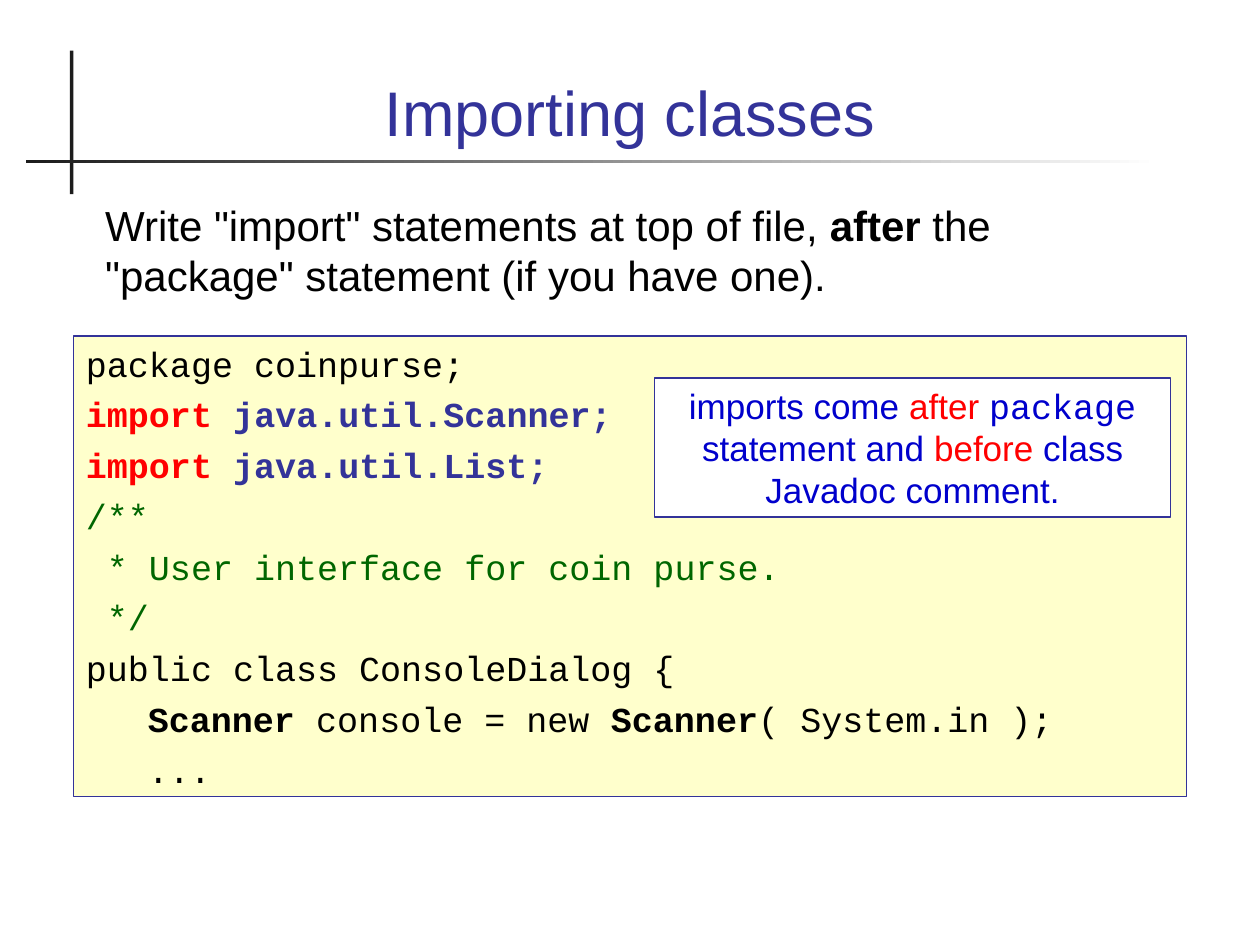
from pptx import Presentation
from pptx.dml.color import RGBColor
from pptx.enum.shapes import MSO_SHAPE
from pptx.enum.text import MSO_ANCHOR, PP_ALIGN
from pptx.oxml.ns import qn
from pptx.util import Pt
from lxml import etree

RECTANGLE = MSO_SHAPE.RECTANGLE
TOP, BOTTOM = MSO_ANCHOR.TOP, MSO_ANCHOR.BOTTOM
LEFT, CENTER = PP_ALIGN.LEFT, PP_ALIGN.CENTER

SANS, MONO = "Arial", "Courier New"
BLACK, WHITE, CHARCOAL = "000000", "FFFFFF", "1C1C1C"
INDIGO, BLUE, RED, GREEN = "333399", "0000CC", "FF0000", "006600"
CREAM = "FFFFCC"
TAB_STOP = 35.4

CODE = [
    [("package coinpurse;", {})],
    [("import ", {"color": RED, "bold": True}),
     ("java.util.Scanner;", {"color": INDIGO, "bold": True})],
    [("import", {"color": RED, "bold": True}),
     (" java.util.List;", {"color": INDIGO, "bold": True})],
    [("/**", {"color": GREEN})],
    [(" * User interface for coin purse.", {"color": GREEN})],
    [(" */", {"color": GREEN})],
    [("public class ConsoleDialog {", {})],
    [("\t", {}), ("Scanner", {"bold": True}), (" console = new ", {}),
     ("Scanner", {"bold": True}), ("( System.in );", {})],
    [("\t...", {})],
]


def rgb(value):
    """Turn a hex string into a colour."""
    return RGBColor.from_string(value)


class SlideBuilder:
    """Hold the text style and the current slide."""

    def __init__(self, slide, font=SANS, size=20, color=BLACK):
        """Keep the slide and the default text style."""
        self.slide = slide
        self.font, self.size, self.color = font, size, color

    def bar(self, left, top, width, height):
        """Draw a plain dark bar."""
        shape = self.slide.shapes.add_shape(
            RECTANGLE, Pt(left), Pt(top), Pt(width), Pt(height))
        shape.shadow.inherit = False
        shape.line.fill.background()
        shape.fill.solid()
        shape.fill.fore_color.rgb = rgb(CHARCOAL)
        return shape

    def fading_bar(self, left, top, width, height):
        """Draw a bar that fades to white on the right."""
        fill = self.bar(left, top, width, height).fill
        fill.gradient()
        fill.gradient_angle = 0
        for stop, color in zip(fill.gradient_stops, (CHARCOAL, WHITE)):
            stop.color.rgb = rgb(color)

    def text(self, left, top, width, height, lines, anchor=TOP, **style):
        """Add a text box."""
        box = self.slide.shapes.add_textbox(
            Pt(left), Pt(top), Pt(width), Pt(height))
        self.fill_text(box.text_frame, lines, anchor, **style)

    def panel(self, left, top, width, height, fill, lines, **style):
        """Add an outlined rectangle with text."""
        box = self.bar(left, top, width, height)
        box.fill.fore_color.rgb = rgb(fill)
        box.line.color.rgb = rgb(INDIGO)
        box.line.width = Pt(0.75)
        self.fill_text(box.text_frame, lines, TOP, **style)

    def fill_text(self, frame, lines, anchor, align=LEFT, gap=0, **style):
        """Fill a text frame with lines of styled spans."""
        frame.word_wrap = True
        frame.vertical_anchor = anchor
        for index, spans in enumerate(lines):
            para = frame.add_paragraph() if index else frame.paragraphs[0]
            para.alignment = align
            if index:
                para.space_before = Pt(gap)
            if spans[0][0].startswith("\t"):
                self.tab_stop(para)
            for words, changes in spans:
                self.span(para, words, **{**style, **changes})

    def tab_stop(self, para):
        """Set the indent stop of a code line."""
        tabs = etree.SubElement(para._p.get_or_add_pPr(), qn("a:tabLst"))
        etree.SubElement(tabs, qn("a:tab"), pos=str(Pt(TAB_STOP)), algn="l")

    def span(self, para, words, font=None, size=None, color=None, bold=False):
        """Add one styled span to a paragraph."""
        span = para.add_run()
        span.text = words
        span.font.name = font or self.font
        span.font.size = Pt(size or self.size)
        span.font.color.rgb = rgb(color or self.color)
        span.font.bold = bold


def main():
    """Build and save the deck."""
    deck = Presentation()
    deck.slide_width, deck.slide_height = Pt(720), Pt(540)
    page = SlideBuilder(deck.slides.add_slide(deck.slide_layouts[6]))

    page.bar(40, 29, 2, 82)
    page.fading_bar(15, 91.2, 647.5, 2)
    page.text(48, 20, 624, 68.5, [[("Importing classes", {})]],
              anchor=BOTTOM, align=CENTER, size=36, color=INDIGO)
    page.text(53, 110.4, 624, 70, [[
        ('Write "import" statements at top of file, ', {}),
        ("after", {"bold": True}),
        (' the "package" statement (if you have one).', {}),
    ]], size=24)
    page.panel(42, 192, 636, 263.4, CREAM, CODE, font=MONO, gap=5)
    page.panel(374.2, 216, 294.6, 79.4, WHITE, [[
        ("imports come ", {}),
        ("after ", {"color": RED}),
        ("package", {"font": MONO}),
        (" statement and ", {}),
        ("before", {"color": RED}),
        (" class Javadoc comment.", {}),
    ]], align=CENTER, color=BLUE)

    deck.save("out.pptx")


if __name__ == "__main__":
    main()
